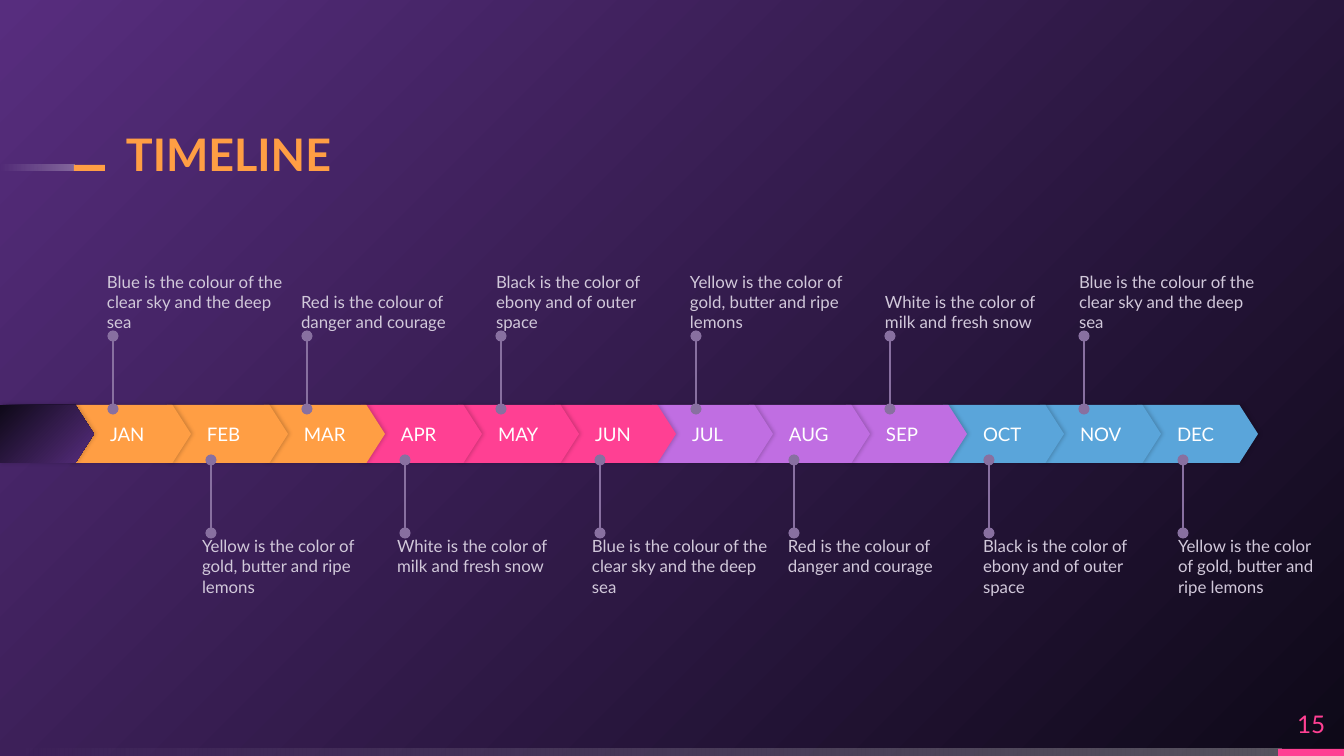
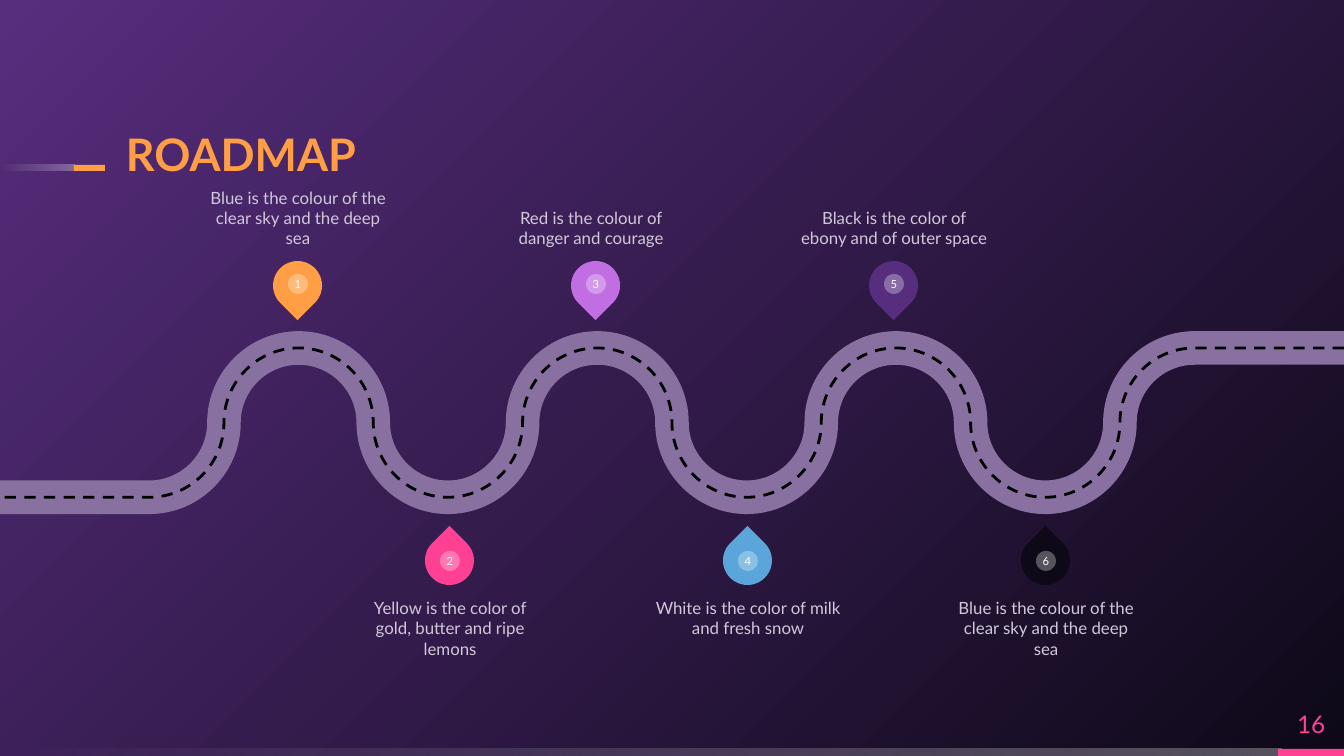
from pptx import Presentation
from pptx.dml.color import RGBColor
from pptx.enum.dml import MSO_LINE
from pptx.enum.shapes import MSO_CONNECTOR, MSO_SHAPE
from pptx.enum.text import MSO_ANCHOR, PP_ALIGN
from pptx.oxml.ns import qn
from pptx.oxml.xmlchemy import OxmlElement
from pptx.util import Pt

RECTANGLE, OVAL = MSO_SHAPE.RECTANGLE, MSO_SHAPE.OVAL
CHEVRON, TEARDROP = MSO_SHAPE.PENTAGON, MSO_SHAPE.TEAR
STRAIGHT, DASH = MSO_CONNECTOR.STRAIGHT, MSO_LINE.DASH
TOP, MIDDLE, BOTTOM = MSO_ANCHOR.TOP, MSO_ANCHOR.MIDDLE, MSO_ANCHOR.BOTTOM
LEFT, CENTER = PP_ALIGN.LEFT, PP_ALIGN.CENTER

ORANGE = RGBColor(0xFF, 0x9E, 0x44)
PINK = RGBColor(0xFF, 0x40, 0x93)
LILAC = RGBColor(0xC0, 0x6E, 0xE2)
BLUE = RGBColor(0x5A, 0xA5, 0xDA)
PURPLE = RGBColor(0x57, 0x2D, 0x7E)
NIGHT = RGBColor(0x0E, 0x09, 0x18)
MAUVE = RGBColor(0x88, 0x70, 0xA0)
PALE = RGBColor(0xD1, 0xC8, 0xDA)
WHITE = RGBColor(0xFF, 0xFF, 0xFF)
BLACK = RGBColor(0, 0, 0)
FONT = "Lato"

PX = 914400 / 134.4
WIDTH, HEIGHT = 1344, 756
ROUNDNESS = 0.55

SKY = "Blue is the colour of the clear sky and the deep sea"
DANGER = "Red is the colour of danger and courage"
EBONY = "Black is the color of ebony and of outer space"
GOLD = "Yellow is the color of gold, butter and ripe lemons"
SNOW = "White is the color of milk and fresh snow"

QUARTERS = [
    (ORANGE, ("JAN", "FEB", "MAR")),
    (PINK, ("APR", "MAY", "JUN")),
    (LILAC, ("JUL", "AUG", "SEP")),
    (BLUE, ("OCT", "NOV", "DEC")),
]
MONTH_NOTES = [
    dict(notes=(SKY, DANGER, EBONY, GOLD, SNOW, SKY), lefts=(107, 1079), top=254,
         stems=(113, 1084), stem_top=336, anchor=BOTTOM),
    dict(notes=(GOLD, SNOW, SKY, DANGER, EBONY, GOLD), lefts=(202, 1178), top=536,
         stems=(211, 1183), stem_top=460, anchor=TOP),
]
MILESTONES = [
    dict(pins=[("1", ORANGE, SKY, 203), ("3", LILAC, DANGER, 496), ("5", PURPLE, EBONY, 799)],
         first_pin=273, pin_top=261, badge_top=274, rotation=135, note_top=170, anchor=BOTTOM),
    dict(pins=[("2", PINK, GOLD, 355), ("4", BLUE, SNOW, 653), ("6", NIGHT, SKY, 951)],
         first_pin=425, pin_top=536, badge_top=551, rotation=315, note_top=598, anchor=TOP),
]


def px(value):
    return round(value * PX)


def spread(ends, count):
    first, last = ends
    return [round(first + (last - first) * i / (count - 1)) for i in range(count)]


def sub_element(parent, tag, **attributes):
    child = OxmlElement(tag)
    for name, value in attributes.items():
        child.set(name, str(value))
    parent.append(child)
    return child


def set_alpha(shape, *percents):
    for color, percent in zip(shape._element.iter(qn("a:srgbClr")), percents):
        sub_element(color, "a:alpha", val=percent * 1000)


def set_gradient(fill, start, end, angle):
    fill.gradient()
    fill.gradient_angle = angle
    for stop, color, position in zip(fill.gradient_stops, (start, end), (0, 1)):
        stop.color.rgb = color
        stop.position = position


def add_block(shapes, kind, left, top, width, height, color=None):
    block = shapes.add_shape(kind, px(left), px(top), px(width), px(height))
    block.shadow.inherit = False
    block.line.fill.background()
    if color is not None:
        block.fill.solid()
        block.fill.fore_color.rgb = color
    return block


def add_fade(shapes, left, top, width, height):
    fade = add_block(shapes, RECTANGLE, left, top, width, height)
    set_gradient(fade.fill, WHITE, WHITE, 180)
    set_alpha(fade, 30, 0)


def add_soft_shadow(shape):
    effects = shape._element.spPr.find(qn("a:effectLst"))
    shadow = sub_element(effects, "a:outerShdw", blurRad=Pt(2.2), dist=Pt(0.7), dir=0,
                         algn="l", rotWithShape=0)
    color = sub_element(shadow, "a:srgbClr", val=BLACK)
    sub_element(color, "a:alpha", val=20000)


def write(shape, text, size, color, align=LEFT, anchor=MIDDLE, inset=0, bold=False):
    frame = shape.text_frame
    frame.text = text
    frame.word_wrap = True
    frame.vertical_anchor = anchor
    frame.margin_left = px(inset)
    frame.margin_top = frame.margin_right = frame.margin_bottom = 0
    para = frame.paragraphs[0]
    para.alignment = align
    font = para.runs[0].font
    font.name, font.size, font.bold = FONT, Pt(size), bold
    font.color.rgb = color
    return para


def add_text(page, text, left, top, width, height, size, color, **style):
    box = page.shapes.add_textbox(px(left), px(top), px(width), px(height))
    return write(box, text, size, color, **style)


def add_page(deck, title, number):
    page = deck.slides.add_slide(deck.slide_layouts[6])
    set_gradient(page.background.fill, PURPLE, NIGHT, 315)
    add_fade(page.shapes, 0, 749, 1282, 7)
    add_block(page.shapes, RECTANGLE, 1278, 749, 66, 7, PINK)
    title_rule = page.shapes.add_group_shape().shapes
    add_fade(title_rule, 0, 165, 75, 6)
    add_block(title_rule, RECTANGLE, 74, 165, 31, 6, ORANGE)
    heading = add_text(page, title, 126, 123, 780, 58, 24, ORANGE, anchor=BOTTOM, bold=True)
    heading.line_spacing = 0.9
    add_text(page, number, 1278, 698, 66, 51, 13, PINK, align=CENTER)
    return page


def add_chevron(page, left, width, color=None):
    chevron = add_block(page.shapes, CHEVRON, left, 405, width, 58, color)
    chevron.adjustments[0] = 0.32
    add_soft_shadow(chevron)
    return chevron


def add_stem(page, x, top):
    stem = page.shapes.add_connector(STRAIGHT, px(x), px(top + 73), px(x), px(top))
    stem.line.color.rgb = MAUVE
    stem.line.width = Pt(0.75)
    for end in ("a:headEnd", "a:tailEnd"):
        sub_element(stem.line._get_or_add_ln(), end, type="oval")
    sub_element(stem._element.spPr, "a:effectLst")


def build_timeline(deck):
    page = add_page(deck, "TIMELINE", "15")
    months = [(month, color) for color, names in QUARTERS for month in names]
    for i, (month, color) in reversed(list(enumerate(months))):
        write(add_chevron(page, 70 + 97 * i, 121, color), month, 10, WHITE, inset=40)
    set_gradient(add_chevron(page, 0, 94).fill, NIGHT, PURPLE, 315)
    for row in MONTH_NOTES:
        count = len(row["notes"])
        places = zip(row["notes"], spread(row["lefts"], count), spread(row["stems"], count))
        for note, left, stem in places:
            add_stem(page, stem, row["stem_top"])
            add_text(page, note, left, row["top"], min(184, 1328 - left), 78, 9, PALE,
                     anchor=row["anchor"])


def road_points():
    step, top = WIDTH / 9, 348
    middle, bottom = top + step / 2, top + step
    points = [(WIDTH, top)]
    for bend in range(8, 0, -1):
        points.append((bend * step, top if bend % 2 == 0 else bottom))
        if bend > 1:
            points.append(((bend - 0.5) * step, middle))
    return points + [(0, bottom)]


def round_bends(road):
    outline = next(road._element.iter(qn("a:path")))
    points = [(int(point.get("x")), int(point.get("y"))) for point in outline.iter(qn("a:pt"))]
    for i, segment in enumerate(list(outline.iter(qn("a:lnTo")))[1:-1], 1):
        (x1, y1), (x2, y2) = points[i], points[i + 1]
        along, down = ROUNDNESS * (x2 - x1), ROUNDNESS * (y2 - y1)
        if i % 2:
            controls = [(x1 + along, y1), (x2, y2 - down)]
        else:
            controls = [(x1, y1 + down), (x2 - along, y2)]
        curve = OxmlElement("a:cubicBezTo")
        for x, y in controls + [(x2, y2)]:
            sub_element(curve, "a:pt", x=round(x), y=round(y))
        outline.replace(segment, curve)


def add_road(page, color, width, dash=None):
    start, *others = [(px(x), px(y)) for x, y in road_points()]
    builder = page.shapes.build_freeform(*start)
    builder.add_line_segments(others, close=False)
    road = builder.convert_to_shape()
    round_bends(road)
    road.shadow.inherit = False
    road.fill.background()
    road.line.color.rgb = color
    road.line.width = Pt(width)
    if dash:
        road.line.dash_style = dash


def build_roadmap(deck):
    page = add_page(deck, "ROADMAP", "16")
    add_road(page, MAUVE, 18)
    add_road(page, BLACK, 1.5, DASH)
    for row in MILESTONES:
        for i, (number, color, note, note_left) in enumerate(row["pins"]):
            left = row["first_pin"] + 298 * i
            group = page.shapes.add_group_shape().shapes
            pin = add_block(group, TEARDROP, left, row["pin_top"], 49, 49, color)
            pin.rotation = row["rotation"]
            badge = add_block(group, OVAL, left + 15, row["badge_top"], 20, 20, WHITE)
            set_alpha(badge, 30)
            write(badge, number, 6, WHITE, align=CENTER)
            add_text(page, note, note_left, row["note_top"], 190, 78, 9, PALE,
                     align=CENTER, anchor=row["anchor"])


def main():
    deck = Presentation()
    deck.slide_width, deck.slide_height = px(WIDTH), px(HEIGHT)
    build_timeline(deck)
    build_roadmap(deck)
    deck.save("out.pptx")


if __name__ == "__main__":
    main()
